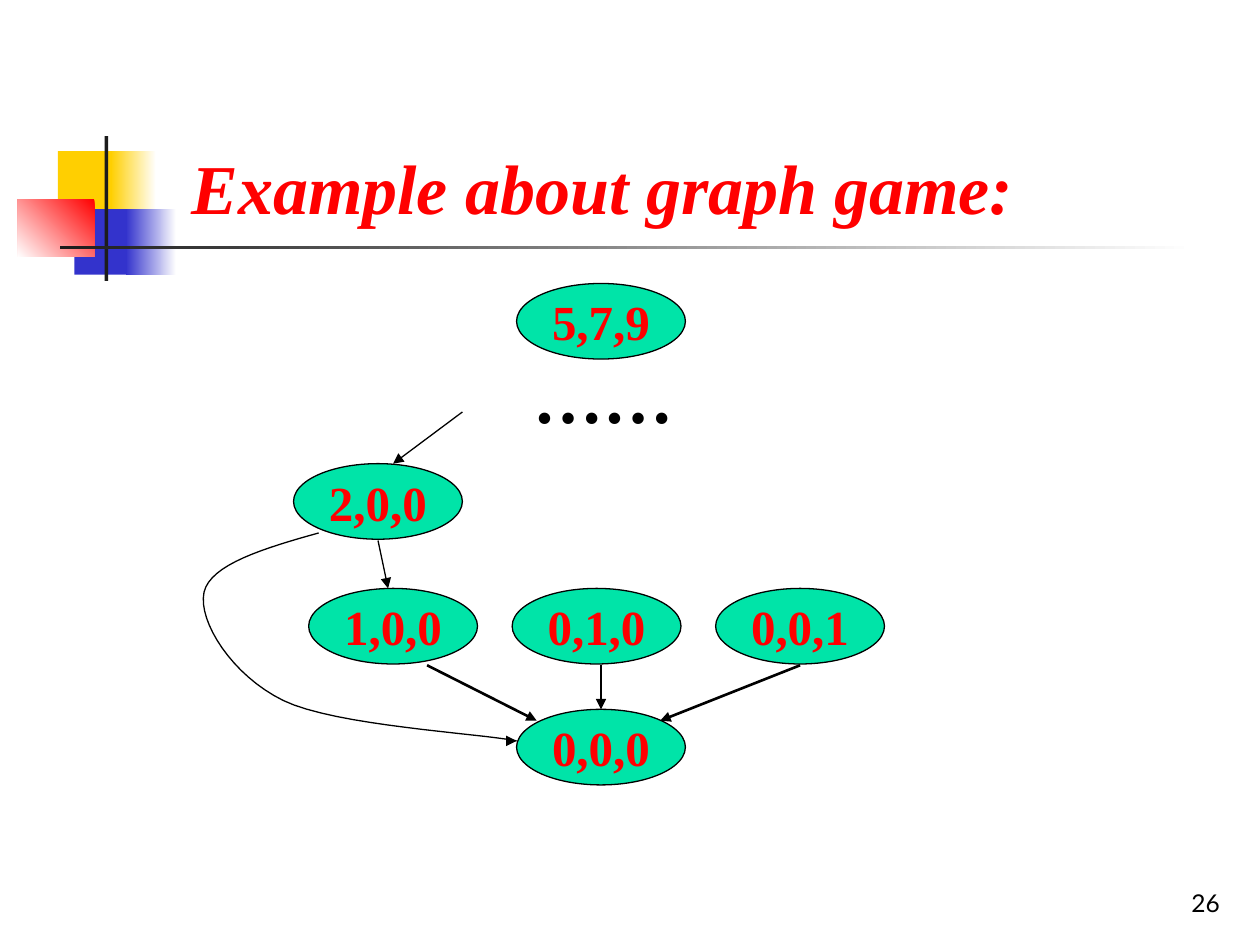
from lxml.etree import SubElement
from pptx import Presentation
from pptx.dml.color import RGBColor
from pptx.enum.shapes import MSO_CONNECTOR as CXN, MSO_SHAPE as SHAPE
from pptx.enum.text import MSO_ANCHOR as ANCHOR, MSO_AUTO_SIZE as FIT, PP_ALIGN as ALIGN
from pptx.oxml.ns import qn
from pptx.util import Inches, Pt

COLORS = {"yellow": "FFCF01", "blue": "3333CC", "red": "FF0000", "dark": "1C1C1C",
          "white": "FFFFFF", "green": "00E4A8", "black": "000000"}
SERIF = "Times New Roman"
STYLES = {
    "title": {"size": Pt(40), "name": SERIF, "bold": True, "italic": True, "color": "red"},
    "node": {"size": Pt(28), "name": SERIF, "bold": True, "color": "red"},
    "dots": {"size": Pt(40), "name": SERIF, "bold": True, "color": "black"},
    "number": {"size": Pt(14), "name": "Lato", "color": "black"},
}
DECOR = [
    ((0.46, 1.2, 0.48, 0.52), ["yellow"], 0),
    ((0.88, 1.2, 0.36, 0.52), ["white", "yellow"], 180),
    ((0.59, 1.66, 0.46, 0.52), ["blue"], 0),
    ((1, 1.66, 0.4, 0.52), ["white", "blue"], 180),
    ((0.14, 1.58, 0.61, 0.46), ["red", "white"], 225),
    ((0.83, 1.08, 0.03, 1.15), ["dark"], 0),
    ((0.48, 1.95, 9, 0.03), ["white", "dark"], 180),
]
NODE_W, NODE_H = 1.34, 0.6
ROWS = {"start": 2.25, "two": 3.68, "one": 4.67, "end": 5.63}
FIRST_COL, COL_STEP = 2.45, 1.615
NODES = [("5,7,9", 4.1, "start"), ("2,0,0", 2.33, "two"), ("0,0,0", 4.1, "end")]
NODES += [(text, FIRST_COL + i * COL_STEP, "one")
          for i, text in enumerate(["1,0,0", "0,1,0", "0,0,1"])]
ARROWS = [
    ((3.67, 3.27), (3.12, 3.68), 0.75),
    ((3, 4.29), (3.08, 4.67), 0.75),
    ((3.39, 5.28), (4.26, 5.72), 1.5),
    ((6.35, 5.28), (5.24, 5.72), 1.5),
    ((4.02, 5.88), (4.1, 5.88), 0.75),
]
CURVE_START = (2.53, 4.23)
CURVE = [
    ((2.1, 4.35), (1.67, 4.48), (1.62, 4.7)),
    ((1.57, 4.93), (1.84, 5.36), (2.25, 5.56)),
    ((2.66, 5.76), (3.8, 5.82), (4.1, 5.88)),
]
CURVE_STEPS = 16


def rgb(name):
    return RGBColor.from_string(COLORS[name])


def inches(values):
    return [Inches(v) for v in values]


def write(shape, text, style, align, anchor, wrap=True):
    tf = shape.text_frame
    tf.auto_size = FIT.NONE
    tf.word_wrap, tf.vertical_anchor = wrap, anchor
    p = tf.paragraphs[0]
    p.alignment = align
    r = p.add_run()
    r.text = text
    for key, value in STYLES[style].items():
        if key == "color":
            r.font.color.rgb = rgb(value)
        else:
            setattr(r.font, key, value)
    return p


def add_shape(s, kind, box, colors, angle=0):
    sp = s.shapes.add_shape(kind, *inches(box))
    sp.shadow.inherit = False
    sp.line.fill.background()
    if len(colors) == 1:
        sp.fill.solid()
        sp.fill.fore_color.rgb = rgb(colors[0])
    else:
        sp.fill.gradient()
        sp.fill.gradient_angle = angle
        for stop, color in zip(sp.fill.gradient_stops, colors):
            stop.color.rgb = rgb(color)
    return sp


def outline(shape, width):
    shape.line.color.rgb = rgb("black")
    shape.line.width = Pt(width)


def add_arrow(s, start, end, width):
    line = s.shapes.add_connector(CXN.STRAIGHT, *inches(start + end))
    outline(line, width)
    SubElement(line.line._get_or_add_ln(), qn("a:tailEnd"), type="triangle")
    SubElement(line._element.spPr, qn("a:effectLst"))
    return line


def add_node(s, text, left, row):
    sp = add_shape(s, SHAPE.OVAL, (left, ROWS[row], NODE_W, NODE_H), ["green"])
    outline(sp, 0.75)
    write(sp, text, "node", ALIGN.CENTER, ANCHOR.MIDDLE, wrap=False)
    return sp


def bezier(points, t):
    weights = ((1 - t) ** 3, 3 * t * (1 - t) ** 2, 3 * t * t * (1 - t), t ** 3)
    return tuple(Inches(sum(w * v for w, v in zip(weights, axis))) for axis in zip(*points))


def add_curve(s):
    builder = s.shapes.build_freeform(*inches(CURVE_START))
    start = CURVE_START
    for segment in CURVE:
        points = (start,) + segment
        builder.add_line_segments(
            [bezier(points, i / CURVE_STEPS) for i in range(1, CURVE_STEPS + 1)], close=False)
        start = segment[-1]
    sp = builder.convert_to_shape()
    sp.shadow.inherit = False
    sp.fill.background()
    outline(sp, 0.75)


def main():
    prs = Presentation()
    prs.slide_width, prs.slide_height = Inches(10), Inches(7.5)
    s = prs.slides.add_slide(prs.slide_layouts[5])

    for box, colors, angle in DECOR:
        add_shape(s, SHAPE.RECTANGLE, box, colors, angle)

    title = s.shapes.title
    title.left, title.top, title.width, title.height = inches((1.42, 0.84, 7.05, 1.02))
    write(title, "Example about graph game:", "title", ALIGN.LEFT, ANCHOR.BOTTOM)

    nodes = {text: add_node(s, text, left, row) for text, left, row in NODES}
    for start, end, width in ARROWS:
        add_arrow(s, start, end, width)
    down = add_arrow(s, (4.77, 5.28), (4.77, 5.63), 1.5)
    down.end_connect(nodes["0,0,0"], 0)
    add_curve(s)

    dots = s.shapes.add_textbox(*inches((3.55, 2.76, 2.48, 0.77)))
    write(dots, "……", "dots", ALIGN.CENTER, ANCHOR.TOP).space_before = Pt(25)

    number = s.shapes.add_textbox(*inches((7.7, 6.83, 2.08, 0.5)))
    write(number, "26", "number", ALIGN.RIGHT, ANCHOR.BOTTOM)

    prs.save("out.pptx")


if __name__ == "__main__":
    main()
